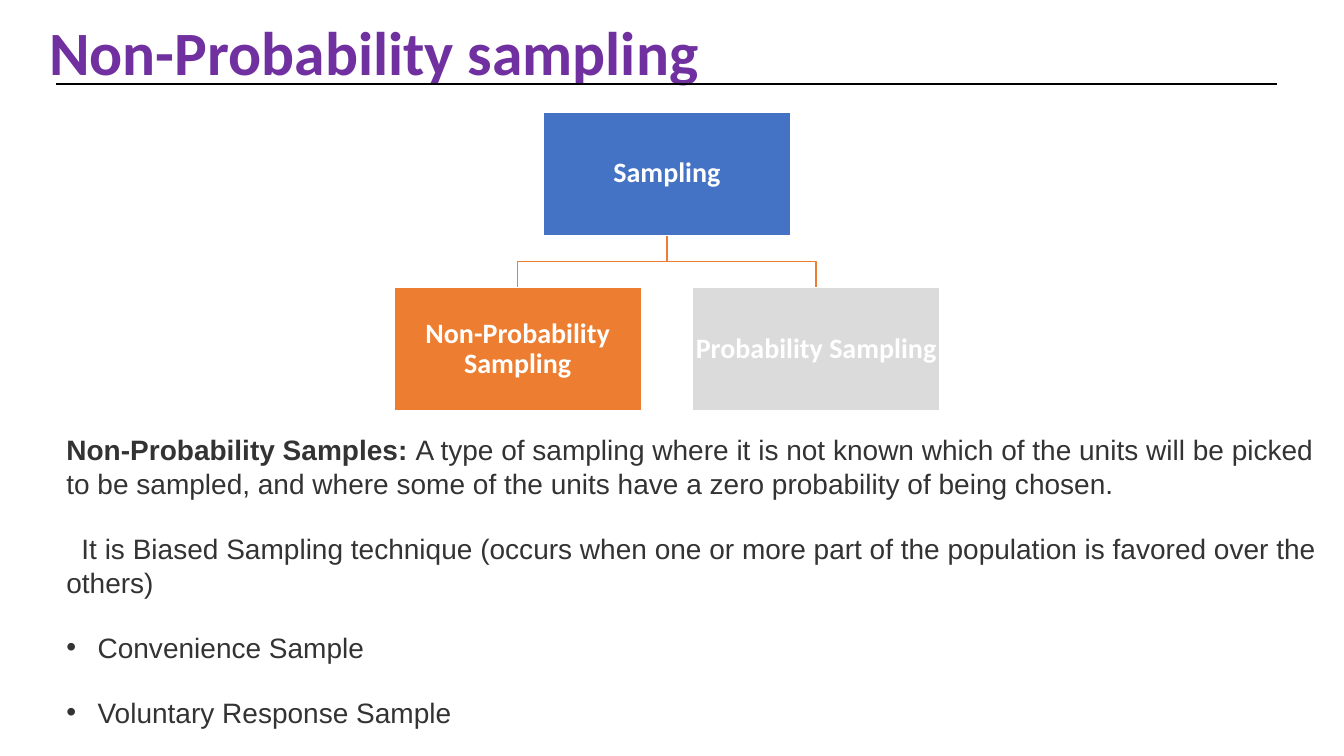
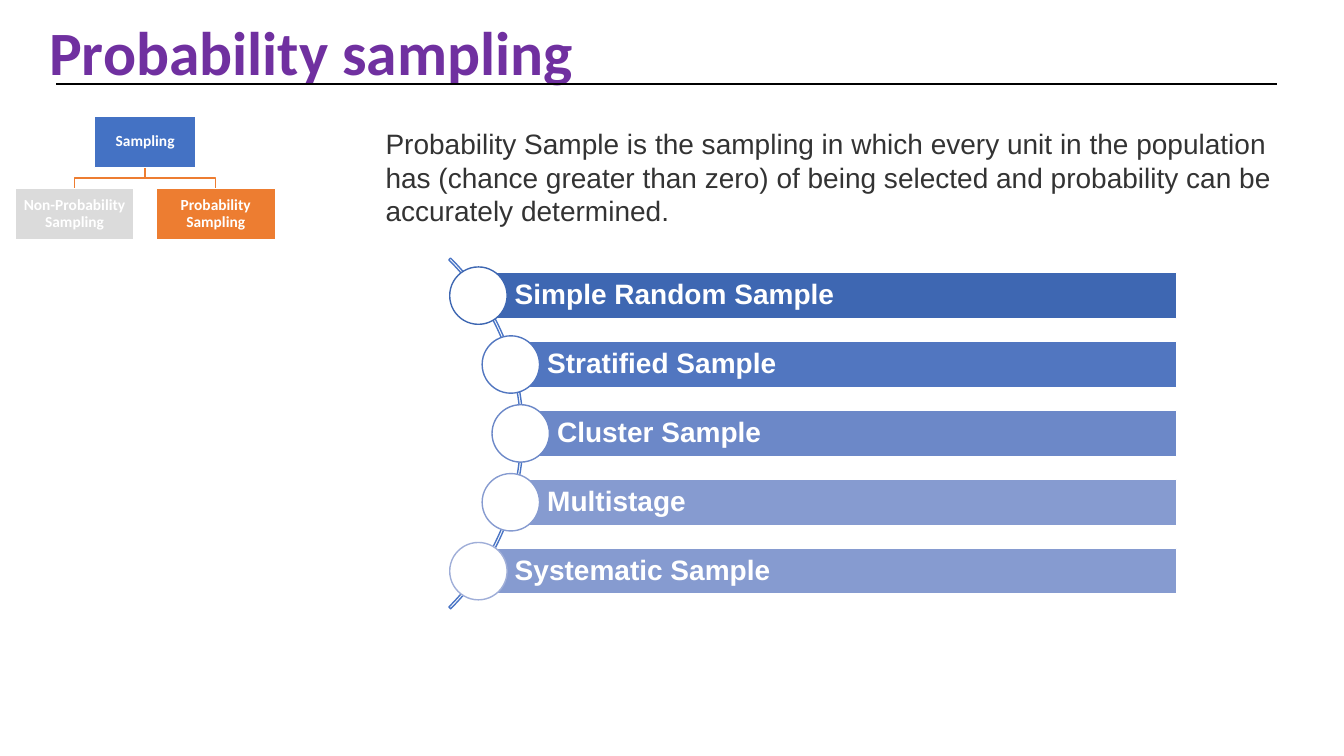
from collections import namedtuple
from math import sqrt

from lxml.etree import SubElement
from pptx import Presentation
from pptx.dml.color import RGBColor
from pptx.enum.shapes import MSO_CONNECTOR, MSO_SHAPE
from pptx.enum.text import MSO_ANCHOR, PP_ALIGN
from pptx.oxml.ns import qn
from pptx.util import Inches, Pt

Box = namedtuple("Box", "left top width height")
Tree = namedtuple("Tree", "root branch row size")
CELL = Inches(0.01)
COLUMNS, ROWS = 1333, 750
COLORS = {
    "title": "7030A0", "body": "333333", "rule": "000000", "white": "FFFFFF",
    "root": "4472C4", "active": "ED7D31", "muted": "DBDBDB", "arc": "4A75C5",
}
BAR_COLORS = ["3E67B2", "5176C0", "6C88C8", "869BD0", "869BD0"]
DISC_COLORS = BAR_COLORS[:4] + ["9FAED8"]
TITLE = {"name": "Calibri", "size": Pt(44), "bold": True}
BODY = {"name": "Arial", "size": Pt(20), "bold": False}
STRONG = {**BODY, "bold": True}
TIGHT = {"line_spacing": 0.9, "alignment": PP_ALIGN.LEFT}
CENTERED = {**TIGHT, "alignment": PP_ALIGN.CENTER}
SPACED = {"space_after": Pt(22.5)}


def color(key):
    """Return the colour for a palette name or a hex string."""
    return RGBColor.from_string(COLORS.get(key, key))


def cells(*lengths):
    """Turn grid cells into slide lengths."""
    return [round(length * CELL) for length in lengths]


def apply(target, values):
    """Set every attribute in a dict of format values."""
    for name, value in values.items():
        setattr(target, name, value)


def set_frame(frame, anchor, insets=(10, 5, 10, 5)):
    """Set wrapping, anchor and insets of a text frame."""
    sides = ("margin_left", "margin_top", "margin_right", "margin_bottom")
    apply(frame, {"word_wrap": True, "vertical_anchor": anchor,
                  **dict(zip(sides, cells(*insets)))})


def write(para, pieces, tone, layout):
    """Fill a paragraph with (text, font) pieces."""
    apply(para, layout)
    for text, font in pieces:
        span = para.add_run()
        span.text = text
        apply(span.font, font)
        span.font.color.rgb = color(tone)


def indent(para, margin, first=0, bullet=None):
    """Indent a paragraph by grid cells, with an optional bullet."""
    properties = para._p.get_or_add_pPr()
    for name, length in zip(("marL", "indent"), cells(margin, first)):
        properties.set(name, str(length))
    if bullet:
        SubElement(properties, qn("a:buFont")).set("typeface", "Arial")
        SubElement(properties, qn("a:buChar")).set("char", bullet)


def style_figure(figure, fill, outline):
    """Make a shape flat, with a thin outline and an optional fill."""
    figure.shadow.inherit = False
    if fill:
        figure.fill.solid()
        figure.fill.fore_color.rgb = color(fill)
    else:
        figure.fill.background()
    figure.line.color.rgb = color(outline)
    figure.line.width = Pt(1)


def add_figure(page, kind, box, fill, outline):
    """Add a styled preset shape."""
    figure = page.shapes.add_shape(kind, *cells(*box))
    style_figure(figure, fill, outline)
    return figure


def add_labelled(page, box, fill, text, font, layout, insets):
    """Add a filled rectangle with a white label."""
    figure = add_figure(page, MSO_SHAPE.RECTANGLE, box, fill, "white")
    set_frame(figure.text_frame, MSO_ANCHOR.MIDDLE, insets)
    write(figure.text_frame.paragraphs[0], [(text, font)], "white", layout)


def add_elbow(page, start, end):
    """Add an open path that goes down, across and down again."""
    middle = (start[1] + end[1]) / 2
    corners = [(start[0], middle), (end[0], middle), end]
    builder = page.shapes.build_freeform(*cells(*start))
    builder.add_line_segments([cells(*corner) for corner in corners], close=False)
    style_figure(builder.convert_to_shape(), None, "active")


def add_text(page, box, anchor=MSO_ANCHOR.TOP):
    """Add a wrapping text box and return its frame."""
    frame = page.shapes.add_textbox(*cells(*box)).text_frame
    set_frame(frame, anchor)
    return frame


def add_page(deck, title):
    """Add a blank page with the shared title and rule."""
    page = deck.slides.add_slide(deck.slide_layouts[6])
    frame = add_text(page, Box(39, 28, 1150, 54), MSO_ANCHOR.MIDDLE)
    write(frame.paragraphs[0], [(title, TITLE)], "title", TIGHT)
    rule = page.shapes.add_connector(MSO_CONNECTOR.STRAIGHT,
                                     *cells(56, 83.5, 1267, 83.5))
    rule.line.color.rgb = color("rule")
    rule.line.width = Pt(1.5)
    SubElement(rule._element.spPr, qn("a:effectLst"))
    return page


def add_tree(page, box, active, tree):
    """Draw the sampling tree in a box, highlighting one branch."""
    font = {"name": "Calibri", "size": Pt(tree.size), "bold": True}
    center = box.left + box.width / 2
    branch_top = box.top + box.height - tree.row
    branches = {"Probability Sampling": box.left + box.width - tree.branch,
                "Non-Probability Sampling": box.left}
    for left in branches.values():
        add_elbow(page, (center, box.top + tree.row),
                  (left + tree.branch / 2, branch_top))
    nodes = [("Sampling", "root",
              Box(center - tree.root / 2, box.top, tree.root, tree.row))]
    for text, left in branches.items():
        nodes.append((text, "active" if text == active else "muted",
                      Box(left, branch_top, tree.branch, tree.row)))
    for text, fill, node in nodes:
        add_labelled(page, node, fill, text, font, CENTERED, (1,) * 4)


def add_arc_list(page, box, labels):
    """Draw bars that start at discs spaced along an arc."""
    arc = add_figure(page, MSO_SHAPE.BLOCK_ARC,
                     Box(box.left, box.top, box.height, box.height), None, "arc")
    for index, value in enumerate((189, 27, 2.5 / box.height)):
        arc.adjustments[index] = value
    radius, pitch = box.height / 2, box.height / 7.2
    bar_height, disc = pitch * 2 / 3, pitch * 5 / 6
    for index, text in enumerate(labels):
        offset = (index - (len(labels) - 1) / 2) * pitch
        x = box.left + radius + sqrt((radius - 2.5) ** 2 - offset ** 2)
        y = box.top + radius + offset
        bar = Box(x, y - bar_height / 2, box.left + box.width - x, bar_height)
        add_labelled(page, bar, BAR_COLORS[index], text, STRONG, TIGHT, (36, 6, 6, 6))
        add_figure(page, MSO_SHAPE.OVAL, Box(x - disc / 2, y - disc / 2, disc, disc),
                   "white", DISC_COLORS[index])


def build_non_probability(deck):
    """Build the page on non-probability sampling."""
    page = add_page(deck, "Non-Probability sampling")
    add_tree(page, Box(391, 111, 541, 297), "Non-Probability Sampling",
             Tree(root=245, branch=245, row=123, size=20))
    frame = add_text(page, Box(56, 424.5, COLUMNS - 56, ROWS - 425))
    definition = [
        ("Non-Probability Samples: ", STRONG),
        ("A type of sampling where it is not known which of the units will be picked "
         "to be sampled, and where some of the units have a zero probability of "
         "being chosen.", BODY),
    ]
    bias = [("It is Biased Sampling technique (occurs when one or more part of the "
             "population is favored over the others)", BODY)]
    content = [
        (definition, (0, 0)),
        (bias, (0, 15)),
        ([("Convenience Sample", BODY)], (31, -31, "•")),
        ([("Voluntary Response Sample", BODY)], (31, -31, "•")),
    ]
    for index, (pieces, indents) in enumerate(content):
        para = frame.add_paragraph() if index else frame.paragraphs[0]
        write(para, pieces, "body", SPACED)
        indent(para, *indents)


def build_probability(deck):
    """Build the page on probability sampling."""
    page = add_page(deck, "Probability sampling")
    add_tree(page, Box(15, 115, 258, 123), "Probability Sampling",
             Tree(root=101, branch=118, row=51, size=11))
    para = add_text(page, Box(347.5, 120.5, 948, 111)).paragraphs[0]
    write(para, [("Probability Sample is the sampling in which every unit in the "
                  "population has (chance greater than zero) of being selected and "
                  "probability can be accurately determined.", BODY)], "body", SPACED)
    indent(para, 25)
    add_arc_list(page, Box(27, 184, 1140, 492),
                 ["Simple Random Sample", "Stratified Sample", "Cluster Sample",
                  "Multistage", "Systematic Sample"])


def main():
    """Build and save the deck."""
    deck = Presentation()
    deck.slide_width, deck.slide_height = cells(COLUMNS, ROWS)
    build_non_probability(deck)
    build_probability(deck)
    deck.save("out.pptx")


if __name__ == "__main__":
    main()
